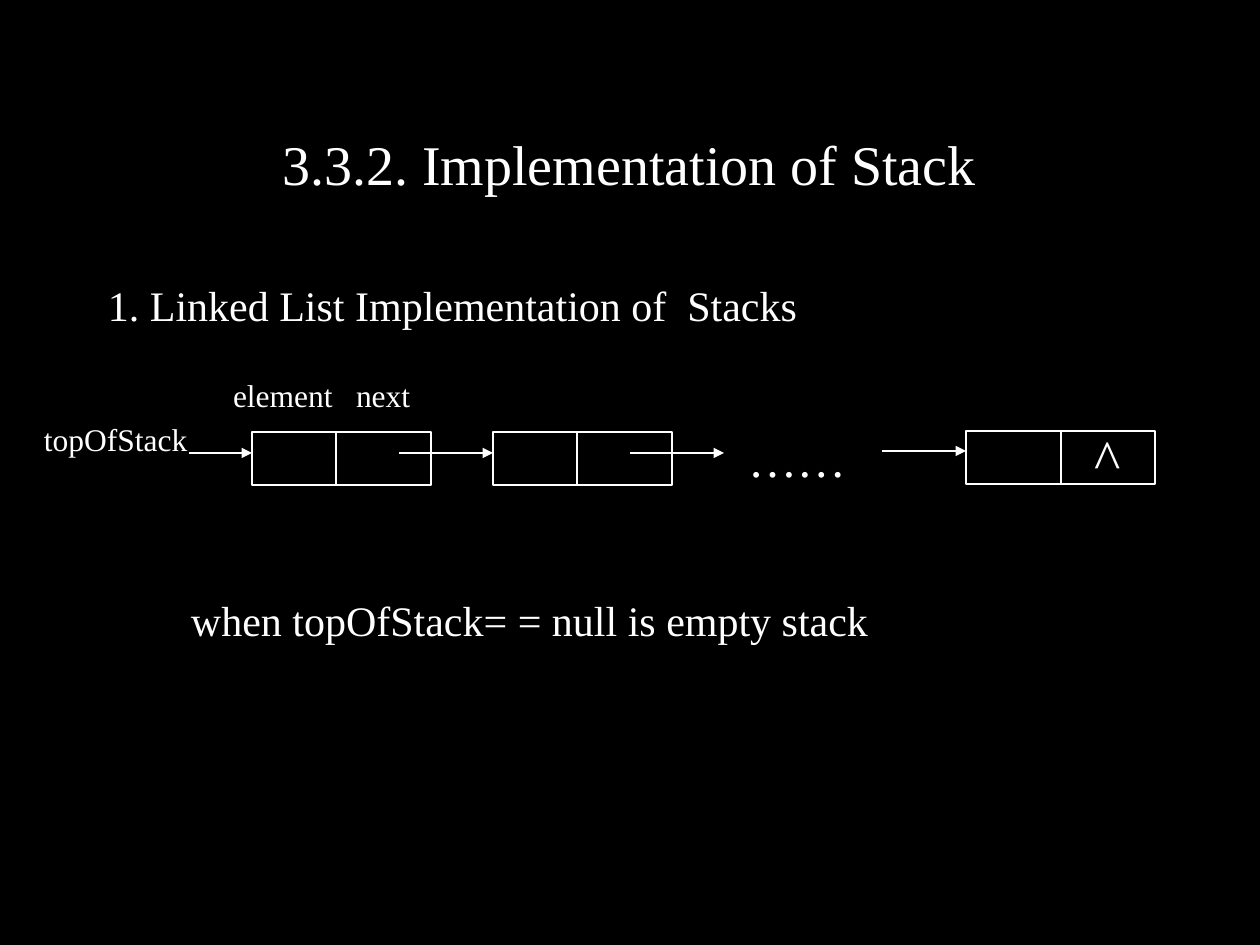
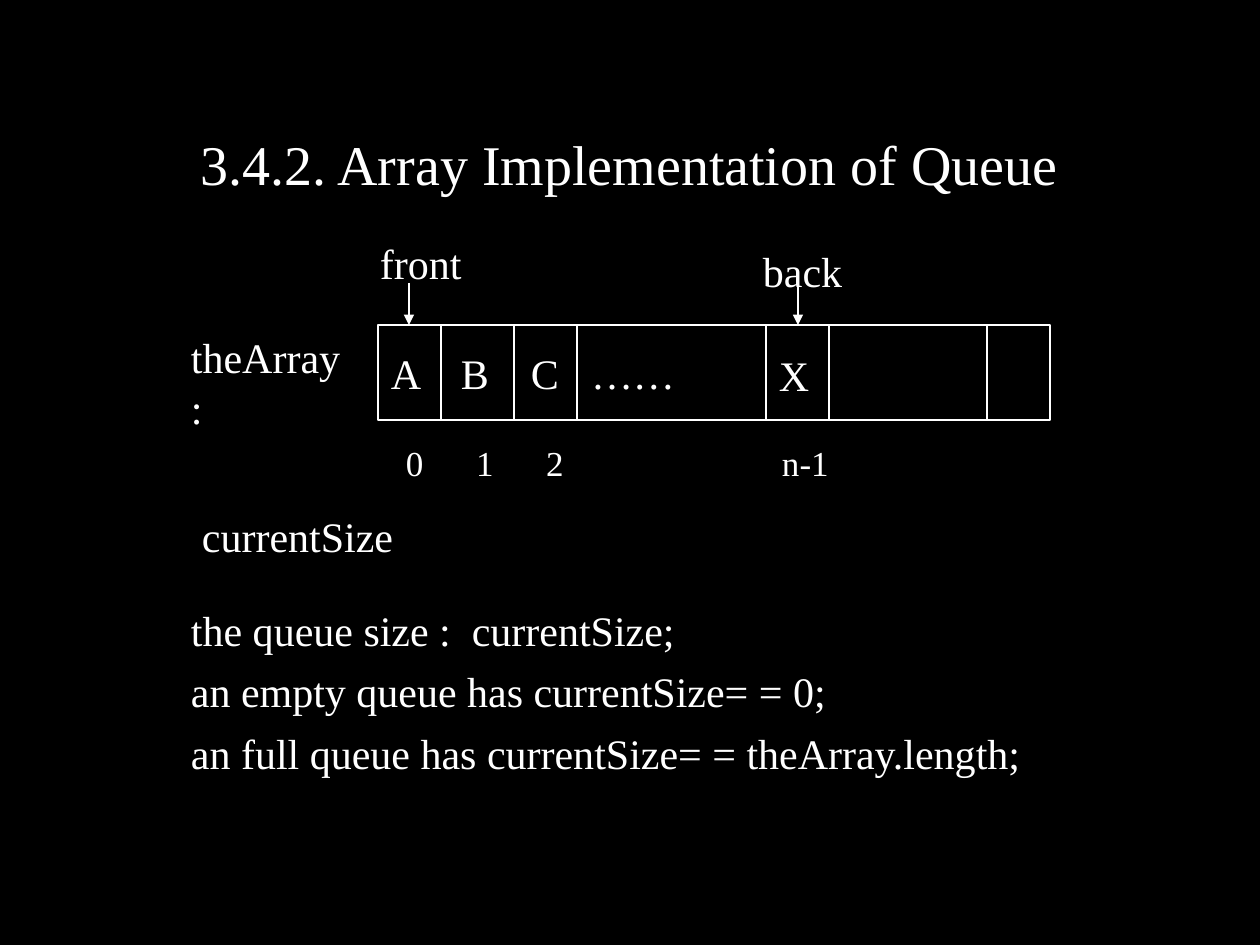
"""Build two slides on the linked-list stack and the array queue."""
from dataclasses import dataclass

from lxml.etree import SubElement
from pptx import Presentation
from pptx.dml.color import RGBColor
from pptx.enum.shapes import MSO_CONNECTOR as Connector, MSO_SHAPE as Preset
from pptx.enum.text import MSO_AUTO_SIZE as AutoSize, PP_ALIGN as Align
from pptx.oxml.ns import qn
from pptx.slide import Slide
from pptx.util import Emu, Pt

PX_PER_INCH = 126
SLIDE_WIDTH, SLIDE_HEIGHT = 1260, 945


@dataclass(frozen=True)
class Theme:
    """Colours and type shared by the slides."""
    background: RGBColor = RGBColor(0, 0, 0)
    ink: RGBColor = RGBColor(255, 255, 255)
    font: str = "Times New Roman"
    title: int = 32
    dots: int = 28
    body: int = 24
    index: int = 20
    label: int = 18
    leading: float = 1.21
    stroke: float = 0.75


THEME = Theme()


@dataclass(frozen=True)
class Label:
    """Text with its top left corner, width and size."""
    text: str
    left: int
    top: int
    width: int
    size: int = THEME.body
    align: Align = Align.LEFT
    gap: int = 0


@dataclass(frozen=True)
class Line:
    """A straight line, with or without an arrowhead at its end."""
    x1: int
    y1: int
    x2: int
    y2: int
    arrow: bool = False


@dataclass(frozen=True)
class Row:
    """A box cut into cells by upright dividers."""
    left: int
    top: int
    width: int
    height: int
    dividers: tuple[int, ...]


def px(length: float) -> Emu:
    """Turn pixels into EMU."""
    return Emu(round(length * 914400 / PX_PER_INCH))


def draw_label(slide: Slide, label: Label) -> None:
    """Write a label, one paragraph for each line of its text."""
    lines = label.text.split("\n")
    line_height = label.size * THEME.leading * PX_PER_INCH / 72
    box = slide.shapes.add_textbox(px(label.left), px(label.top), px(label.width),
                                   px(line_height * len(lines)))
    frame = box.text_frame
    frame.word_wrap = True
    frame.auto_size = AutoSize.NONE
    frame.margin_left = frame.margin_right = frame.margin_top = frame.margin_bottom = 0
    for number, text in enumerate(lines):
        paragraph = frame.add_paragraph() if number else frame.paragraphs[0]
        paragraph.alignment = label.align
        paragraph.line_spacing = Pt(label.size * THEME.leading)
        paragraph.space_before = Pt(label.gap if number else 0)
        run = paragraph.add_run()
        run.text = text
        run.font.name = THEME.font
        run.font.size = Pt(label.size)
        run.font.color.rgb = THEME.ink


def draw_line(slide: Slide, line: Line) -> None:
    """Draw a line and its arrowhead."""
    connector = slide.shapes.add_connector(
        Connector.STRAIGHT, px(line.x1), px(line.y1), px(line.x2), px(line.y2))
    connector.line.color.rgb = THEME.ink
    connector.line.width = Pt(THEME.stroke)
    if line.arrow:
        SubElement(connector.line._get_or_add_ln(), qn("a:tailEnd"), type="triangle")
    SubElement(connector._element.spPr, qn("a:effectLst"))


def draw_row(slide: Slide, row: Row) -> None:
    """Draw a box and its dividers."""
    outline = slide.shapes.add_shape(
        Preset.RECTANGLE, px(row.left), px(row.top), px(row.width), px(row.height))
    outline.shadow.inherit = False
    outline.fill.background()
    outline.line.color.rgb = THEME.ink
    outline.line.width = Pt(THEME.stroke)
    for x in row.dividers:
        draw_line(slide, Line(x, row.top, x, row.top + row.height))


def add_slide(deck: Presentation, title: str, rows: list[Row],
              arrows: list[Line], labels: list[Label]) -> None:
    """Add a black slide with its title and diagram."""
    slide = deck.slides.add_slide(deck.slide_layouts[6])
    slide.background.fill.solid()
    slide.background.fill.fore_color.rgb = THEME.background
    draw_label(slide, Label(title, 94, 129, 1071, THEME.title, Align.CENTER))
    for row in rows:
        draw_row(slide, row)
    for arrow in arrows:
        draw_line(slide, arrow)
    for label in labels:
        draw_label(slide, label)


def add_stack(deck: Presentation) -> None:
    """Add the linked list slide."""
    nodes = [Row(252, 432, 179, 53, (336,)), Row(493, 432, 179, 53, (577,)),
             Row(966, 431, 189, 53, (1061,))]
    links = [Line(start, y, end, y, True) for start, end, y in
             ((189, 252, 453), (399, 493, 453), (630, 724, 453), (882, 966, 451))]
    labels = [
        Label("1. Linked List Implementation of  Stacks", 108, 279, 1046),
        Label("element", 233, 376, 110, THEME.label),
        Label("next", 356, 376, 70, THEME.label),
        Label("topOfStack", 44, 420, 164, THEME.label),
        Label("……", 748, 428, 142, THEME.dots),
        Label("^", 1061, 423, 94, THEME.title, Align.CENTER),
        Label("when topOfStack= = null is empty stack", 191, 594, 846),
    ]
    add_slide(deck, "3.3.2. Implementation of Stack", nodes, links, labels)


def add_queue(deck: Presentation) -> None:
    """Add the array slide."""
    array = Row(378, 325, 672, 95, (441, 514, 577, 766, 829, 987))
    pointers = [Line(x, 283, x, array.top, True) for x in (409, 798)]
    first_cell, cell_step = 391, 70
    labels = [
        Label("front", 380, 237, 111),
        Label("back", 763, 245, 111),
        Label("theArray:", 191, 331, 153),
        Label("……", 591, 347, 120),
        Label("X", 779, 349, 40),
        Label("n-1", 782, 441, 70, THEME.index),
        Label("currentSize", 202, 510, 205),
        Label("the queue size :  currentSize;\n"
              "an empty queue has currentSize= = 0;\n"
              "an full queue has currentSize= = theArray.length;", 191, 604, 1012, gap=6),
    ]
    for index, item in enumerate("ABC"):
        left = first_cell + index * cell_step
        labels += [Label(item, left, 347, 40),
                   Label(str(index), left + 15, 441, 30, THEME.index)]
    add_slide(deck, "3.4.2. Array Implementation of Queue", [array], pointers, labels)


def main() -> None:
    """Build and save the deck."""
    deck = Presentation()
    deck.slide_width, deck.slide_height = px(SLIDE_WIDTH), px(SLIDE_HEIGHT)
    add_stack(deck)
    add_queue(deck)
    deck.save("out.pptx")


if __name__ == "__main__":
    main()
